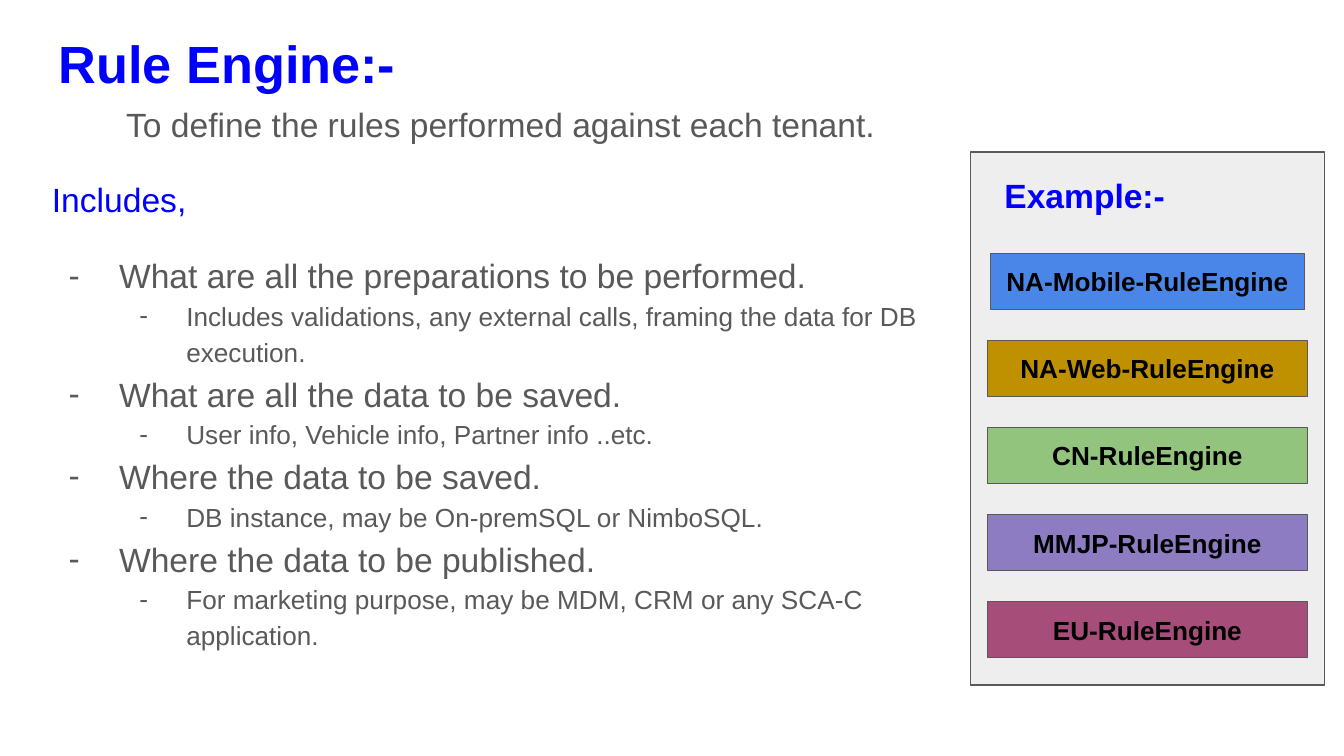
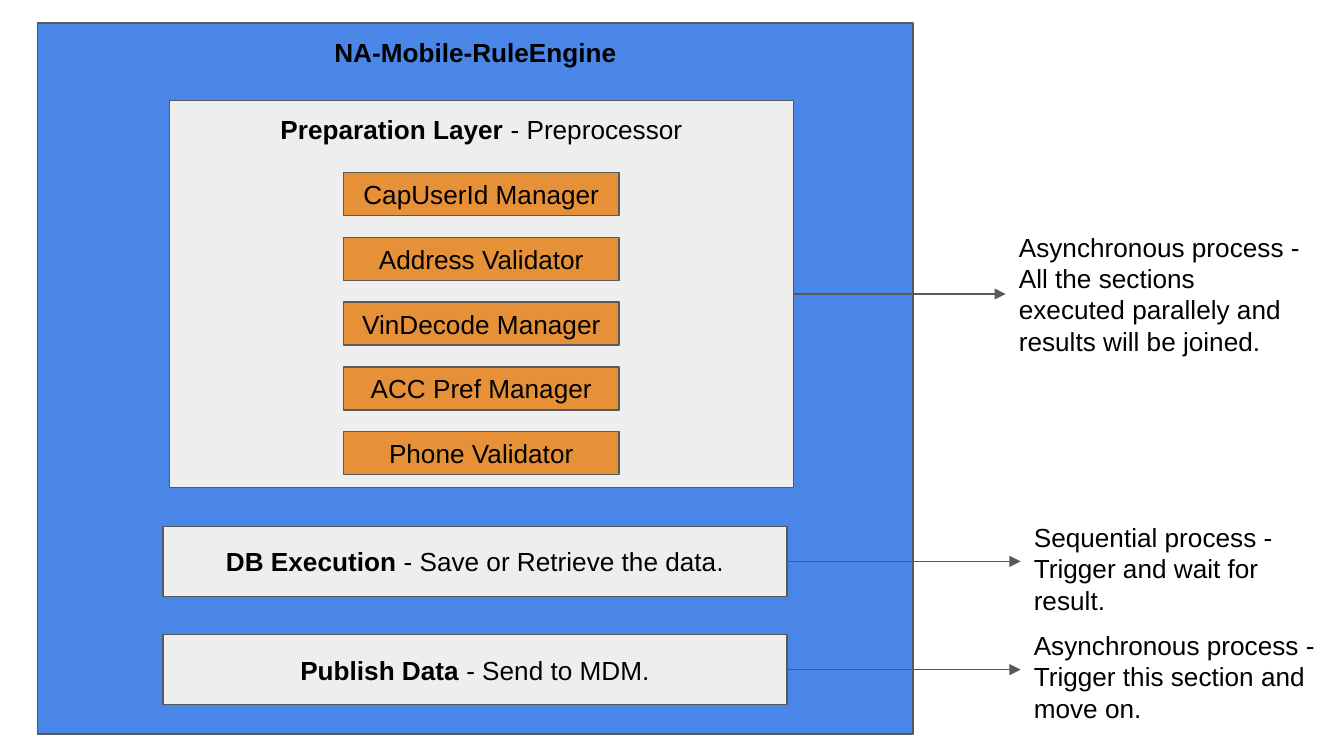
import pptx
import pptx.util
import pptx.dml.color
import pptx.enum.shapes
import pptx.enum.text
import pptx.oxml.ns
import lxml.etree

FONT = "Arial"
BLACK = "000000"
BLUE = "0000FF"
GREY = "595959"
PALE = "EEEEEE"
ENGINE_BLUE = "4A86E8"
ORANGE = "E69138"
INSET = 7.2
LINE_WIDTH = 0.75
TOP = pptx.enum.text.MSO_ANCHOR.TOP
MIDDLE = pptx.enum.text.MSO_ANCHOR.MIDDLE
CENTER = pptx.enum.text.PP_ALIGN.CENTER

ENGINES = [
    ("NA-Mobile-RuleEngine", ENGINE_BLUE),
    ("NA-Web-RuleEngine", "BF9000"),
    ("CN-RuleEngine", "93C47D"),
    ("MMJP-RuleEngine", "8E7CC3"),
    ("EU-RuleEngine", "A64D79"),
]

TOPICS = [
    ("What are all the preparations to be performed.",
     "Includes validations, any external calls, framing the data for DB execution."),
    ("What are all the data to be saved.",
     "User info, Vehicle info, Partner info ..etc."),
    ("Where the data to be saved.",
     "DB instance, may be On-premSQL or NimboSQL."),
    ("Where the data to be published.",
     "For marketing purpose, may be MDM, CRM or any SCA-C application."),
]

MANAGERS = [
    "CapUserId Manager",
    "Address Validator",
    "VinDecode Manager",
    "ACC Pref Manager",
    "Phone Validator",
]


def color(value):
    return pptx.dml.color.RGBColor.from_string(value)


def points(*values):
    return [pptx.util.Pt(value) for value in values]


def add_run(para, text, size=14, fill=BLACK, bold=False):
    span = para.add_run()
    span.text = text
    span.font.name = FONT
    span.font.size = pptx.util.Pt(size)
    span.font.bold = bold
    span.font.color.rgb = color(fill)


def prepare_frame(shape, anchor):
    frame = shape.text_frame
    frame.word_wrap = True
    frame.vertical_anchor = anchor
    frame.margin_left = frame.margin_right = pptx.util.Pt(INSET)
    frame.margin_top = frame.margin_bottom = pptx.util.Pt(INSET)
    return frame


def add_text(page, left, top, width, height):
    box = page.shapes.add_textbox(*points(left, top, width, height))
    return prepare_frame(box, TOP)


def add_box(page, left, top, width, height, fill, runs=(), anchor=MIDDLE):
    box = page.shapes.add_shape(
        pptx.enum.shapes.MSO_SHAPE.RECTANGLE, *points(left, top, width, height))
    box.shadow.inherit = False
    box.fill.solid()
    box.fill.fore_color.rgb = color(fill)
    box.line.color.rgb = color(GREY)
    box.line.width = pptx.util.Pt(LINE_WIDTH)
    para = prepare_frame(box, anchor).paragraphs[0]
    para.alignment = CENTER
    for text, bold in runs:
        add_run(para, text, bold=bold)


def add_arrow(page, start, end, height):
    arrow = page.shapes.add_connector(
        pptx.enum.shapes.MSO_CONNECTOR.STRAIGHT, *points(start, height, end, height))
    arrow.line.color.rgb = color(GREY)
    arrow.line.width = pptx.util.Pt(LINE_WIDTH)
    outline = arrow.line._get_or_add_ln()
    lxml.etree.SubElement(outline, pptx.oxml.ns.qn("a:tailEnd"), type="triangle")
    properties = arrow._element.spPr
    lxml.etree.SubElement(properties, pptx.oxml.ns.qn("a:effectLst"))


def indent(para, margin, first=0):
    properties = para._p.get_or_add_pPr()
    properties.set("marL", str(pptx.util.Pt(margin)))
    properties.set("indent", str(pptx.util.Pt(first)))
    return properties


def add_bullet(frame, text, size, margin, hanging, before=0):
    para = frame.add_paragraph()
    para.line_spacing = 1.15
    para.space_before = pptx.util.Pt(before)
    properties = indent(para, margin, -hanging)
    bullet_color = lxml.etree.SubElement(properties, pptx.oxml.ns.qn("a:buClr"))
    lxml.etree.SubElement(bullet_color, pptx.oxml.ns.qn("a:srgbClr"), val=GREY)
    lxml.etree.SubElement(properties, pptx.oxml.ns.qn("a:buFont"), typeface=FONT)
    lxml.etree.SubElement(properties, pptx.oxml.ns.qn("a:buChar"), char="-")
    add_run(para, text, size, GREY)


def add_heading(page):
    frame = add_text(page, 24.5, 9.5, 671, 72)
    add_run(frame.paragraphs[0], "Rule Engine:-", 28, BLUE, True)
    purpose = frame.add_paragraph()
    purpose.line_spacing = 1.15
    purpose.space_before = pptx.util.Pt(2.3)
    indent(purpose, 36)
    add_run(purpose, "To define the rules performed against each tenant.", 18, GREY)


def add_topics(page):
    frame = add_text(page, 20.75, 85.5, 489.5, 270)
    opening = frame.paragraphs[0]
    opening.line_spacing = 1.15
    add_run(opening, "Includes,", 18, BLUE)
    for index, (topic, detail) in enumerate(TOPICS):
        add_bullet(frame, topic, 18, 36, 27, 0 if index else 16)
        add_bullet(frame, detail, 14, 72, 25.2)


def add_examples(page):
    add_box(page, 520, 81.5, 189.5, 285.5, PALE)
    label = add_text(page, 531, 86.5, 141, 37.5)
    add_run(label.paragraphs[0], "Example:-", 18, BLUE, True)
    center = 614.75
    for index, (name, fill) in enumerate(ENGINES):
        width = 171.5 if index else 168
        add_box(page, center - width / 2, 135.75 + 46.65 * index, width, 30,
                fill, [(name, True)])


def build_rule_engine(deck):
    page = deck.slides.add_slide(deck.slide_layouts[6])
    add_heading(page)
    add_topics(page)
    add_examples(page)


def add_note(page, left, top, width, height, text):
    frame = add_text(page, left, top, width, height)
    add_run(frame.paragraphs[0], text)


def build_mobile_engine(deck):
    page = deck.slides.add_slide(deck.slide_layouts[6])
    add_box(page, 20.25, 12.25, 469, 381, ENGINE_BLUE,
            [("NA-Mobile-RuleEngine", True)], TOP)
    add_box(page, 90.75, 53.75, 334.5, 207.5, PALE,
            [("Preparation Layer", True), (" - Preprocessor", False)], TOP)
    for index, name in enumerate(MANAGERS):
        add_box(page, 184, 92.5 + 34.7 * index, 147.75, 23, ORANGE, [(name, False)])
    add_arrow(page, 425.25, 538.75, 157.5)
    add_note(page, 538.75, 116.5, 165.5, 82,
             "Asynchronous process - All the sections executed parallely and "
             "results will be joined.")

    steps = [
        ("DB Execution ", "- Save or Retrieve the data.",
         "Sequential process - Trigger and wait for result.", 157.75),
        ("Publish Data ", "- Send to MDM.",
         "Asynchronous process - Trigger this section and move on.", 165.5),
    ]
    for index, (name, action, note, note_width) in enumerate(steps):
        middle = 300.75 + 58 * index
        add_box(page, 87.25, middle - 18.75, 334.5, 37.5, PALE,
                [(name, True), (action, False)])
        add_arrow(page, 421.75, 546.75, middle)
        add_note(page, 546.75, middle - 28.75, note_width, 57.5, note)


def main():
    deck = pptx.Presentation()
    deck.slide_width, deck.slide_height = points(720, 405)
    build_rule_engine(deck)
    build_mobile_engine(deck)
    deck.save("out.pptx")


main()
